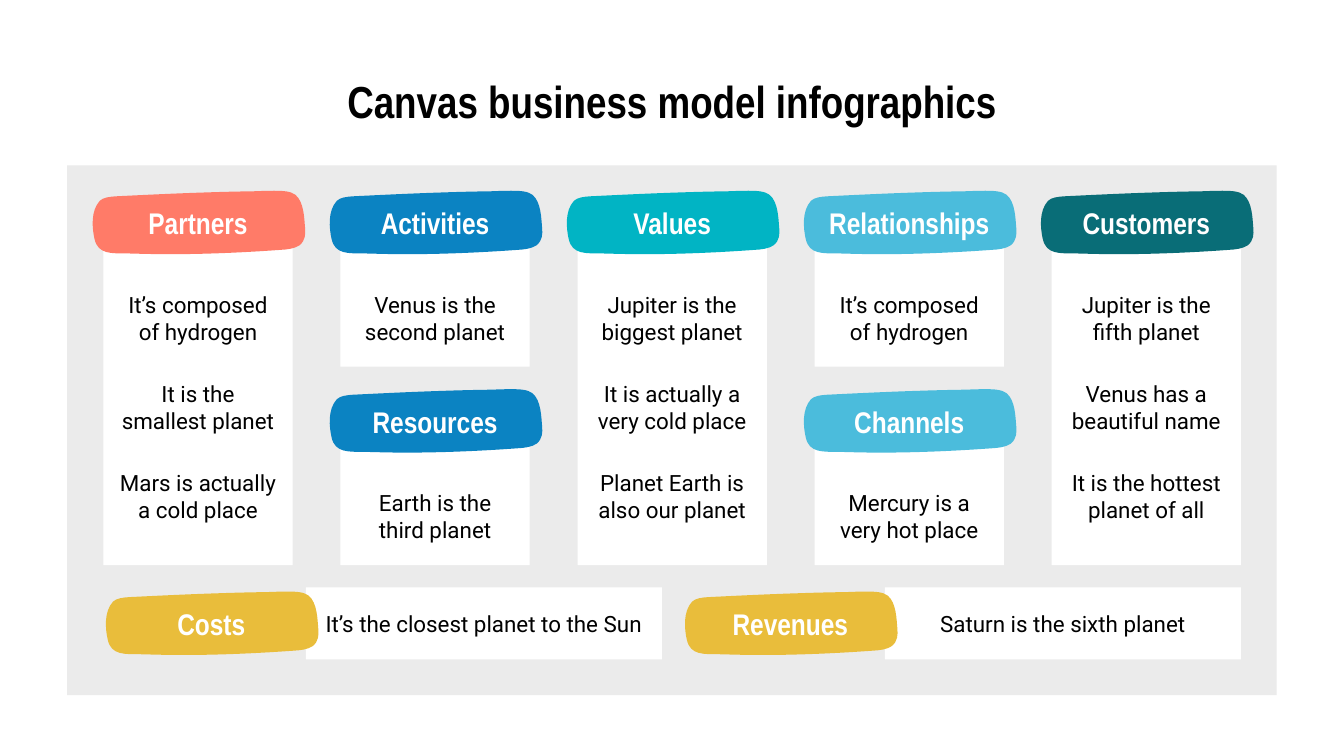
from collections import namedtuple
from dataclasses import dataclass

from lxml.etree import SubElement
from pptx import Presentation
from pptx.dml.color import RGBColor
from pptx.enum.shapes import MSO_SHAPE
from pptx.enum.text import MSO_ANCHOR, PP_ALIGN
from pptx.oxml.ns import qn
from pptx.util import Pt

Box = namedtuple("Box", "left top width height")


@dataclass(frozen=True)
class Theme:
    heading_font: str = "Arial Narrow"
    body_font: str = "Roboto"
    title_size: int = 24
    label_size: int = 16
    note_size: int = 12
    ink: str = "000000"
    paper: str = "FFFFFF"
    panel: str = "EBEBEB"
    coral: str = "FF7B68"
    blue: str = "0B83C2"
    turquoise: str = "01B4C4"
    sky: str = "4BBCDC"
    teal: str = "096D77"
    gold: str = "E9BD3B"


THEME = Theme()
INSET = 7.2
TAG_WIDTH, TAG_HEIGHT = 115.2, 34.2
TAG_START = (98.3, 0)
TAG_CURVES = [
    (94.3, 0), (90, 0.2), (87.5, 0.3),
    (79.2, 0.4), (70.6, 0.6), (62.6, 0.9),
    (46.1, 1.4), (29.9, 2.2), (13.7, 3),
    (10.4, 3.2), (6.8, 3.6), (5, 5.4),
    (0, 10.8), (0.9, 20.2), (2.2, 25.9),
    (4.1, 34.2), (11.2, 33.5), (20.2, 33.6),
    (27.4, 33.8), (34.6, 34), (41.8, 34),
    (61.6, 34), (81.7, 33.1), (101.5, 31.7),
    (105.5, 31.5), (109.4, 31), (112, 29.2),
    (115.2, 26.6), (115.2, 23), (115, 20.2),
    (114.5, 15.1), (114.5, 6.1), (109.8, 2.2),
    (107.3, 0.2), (103, 0), TAG_START,
]

COLUMNS = [
    [("Partners", THEME.coral, ["It’s composed of hydrogen", "It is the smallest planet",
                                "Mars is actually a cold place"])],
    [("Activities", THEME.blue, ["Venus is the second planet"]),
     ("Resources", THEME.blue, ["Earth is the third planet"])],
    [("Values", THEME.turquoise, ["Jupiter is the biggest planet", "It is actually a very cold place",
                                  "Planet Earth is also our planet"])],
    [("Relationships", THEME.sky, ["It’s composed of hydrogen"]),
     ("Channels", THEME.sky, ["Mercury is a very hot place"])],
    [("Customers", THEME.teal, ["Jupiter is the fifth planet", "Venus has a beautiful name",
                                "It is the hottest planet of all"])],
]
FOOTERS = [("Costs", "It’s the closest planet to the Sun"),
           ("Revenues", "Saturn is the sixth planet")]


def points(box):
    return [Pt(length) for length in box]


def write(shape, text, font_name, size, color, bold=False, anchor=MSO_ANCHOR.TOP):
    frame = shape.text_frame
    frame.word_wrap = True
    frame.vertical_anchor = anchor
    frame.margin_left = frame.margin_right = Pt(INSET)
    frame.margin_top = frame.margin_bottom = Pt(INSET)
    frame.text = text
    para = frame.paragraphs[0]
    para.alignment = PP_ALIGN.CENTER
    font = para.runs[0].font
    font.name, font.size, font.bold = font_name, Pt(size), bold
    font.color.rgb = RGBColor.from_string(color)


def paint(shape, color):
    shape.shadow.inherit = False
    shape.fill.solid()
    shape.fill.fore_color.rgb = RGBColor.from_string(color)
    shape.line.fill.background()


def add_rectangle(page, box, color):
    rectangle = page.shapes.add_shape(MSO_SHAPE.RECTANGLE, *points(box))
    paint(rectangle, color)
    return rectangle


def add_title(page, box, text):
    title = page.shapes.add_textbox(*points(box))
    write(title, text, THEME.heading_font, THEME.title_size, THEME.ink, bold=True)


def add_note(page, box, text):
    note = page.shapes.add_textbox(*points(box))
    write(note, text, THEME.body_font, THEME.note_size, THEME.ink)


def curve_outline(shape):
    outline = next(shape.element.iter(qn("a:path")))
    segments = outline.findall(qn("a:lnTo"))
    for first in range(0, len(segments), 3):
        curve = SubElement(outline, qn("a:cubicBezTo"))
        for segment in segments[first:first + 3]:
            curve.append(segment[0])
            outline.remove(segment)
    outline.append(outline.find(qn("a:close")))


def add_tag(page, left, top, text, color):
    builder = page.shapes.build_freeform(*[Pt(value) for value in TAG_START])
    builder.add_line_segments([(Pt(x), Pt(y)) for x, y in TAG_CURVES], close=True)
    tag = builder.convert_to_shape(Pt(left), Pt(top))
    curve_outline(tag)
    paint(tag, color)
    write(tag, text, THEME.heading_font, THEME.label_size, THEME.paper,
          bold=True, anchor=MSO_ANCHOR.MIDDLE)


def add_block(page, box, label, color, notes):
    card_top, notes_top, note_height = 19.5, 46.6, 47.6
    card_width = 101.4
    card_left = box.left + (box.width - card_width) / 2
    add_rectangle(page, Box(card_left, box.top + card_top, card_width, box.height - card_top),
                  THEME.paper)
    add_tag(page, box.left, box.top, label, color)
    for row, note in enumerate(notes):
        add_note(page, Box(card_left, box.top + notes_top + row * note_height,
                           card_width, note_height), note)


def add_column(page, box, blocks):
    gap = 12
    height = (box.height - gap * (len(blocks) - 1)) / len(blocks)
    for row, (label, color, notes) in enumerate(blocks):
        top = box.top + row * (height + gap)
        add_block(page, Box(box.left, top, box.width, height), label, color, notes)


def add_footer(page, box, label, note):
    bar_left = 108.2
    bar = add_rectangle(page, Box(box.left + bar_left, box.top, box.width - bar_left, box.height),
                        THEME.paper)
    write(bar, note, THEME.body_font, THEME.note_size, THEME.ink, anchor=MSO_ANCHOR.MIDDLE)
    add_tag(page, box.left, box.top + (box.height - TAG_HEIGHT) / 2, label, THEME.gold)


def add_canvas(page, box):
    column_pitch, footer_pitch = 127, 310.2
    add_rectangle(page, box, THEME.panel)
    for index, blocks in enumerate(COLUMNS):
        add_column(page, Box(box.left + 12.5 + index * column_pitch, box.top + 13.6,
                             TAG_WIDTH, 200.6), blocks)
    for index, (label, note) in enumerate(FOOTERS):
        add_footer(page, Box(box.left + 19.6 + index * footer_pitch, box.top + 226.1,
                             299, 38.6), label, note)


def main():
    deck = Presentation()
    deck.slide_width, deck.slide_height = Pt(720), Pt(405)
    page = deck.slides.add_slide(deck.slide_layouts[6])
    add_title(page, Box(36, 32.4, 648, 45.4), "Canvas business model infographics")
    add_canvas(page, Box(36, 88.6, 648, 283.8))
    deck.save("out.pptx")


if __name__ == "__main__":
    main()
